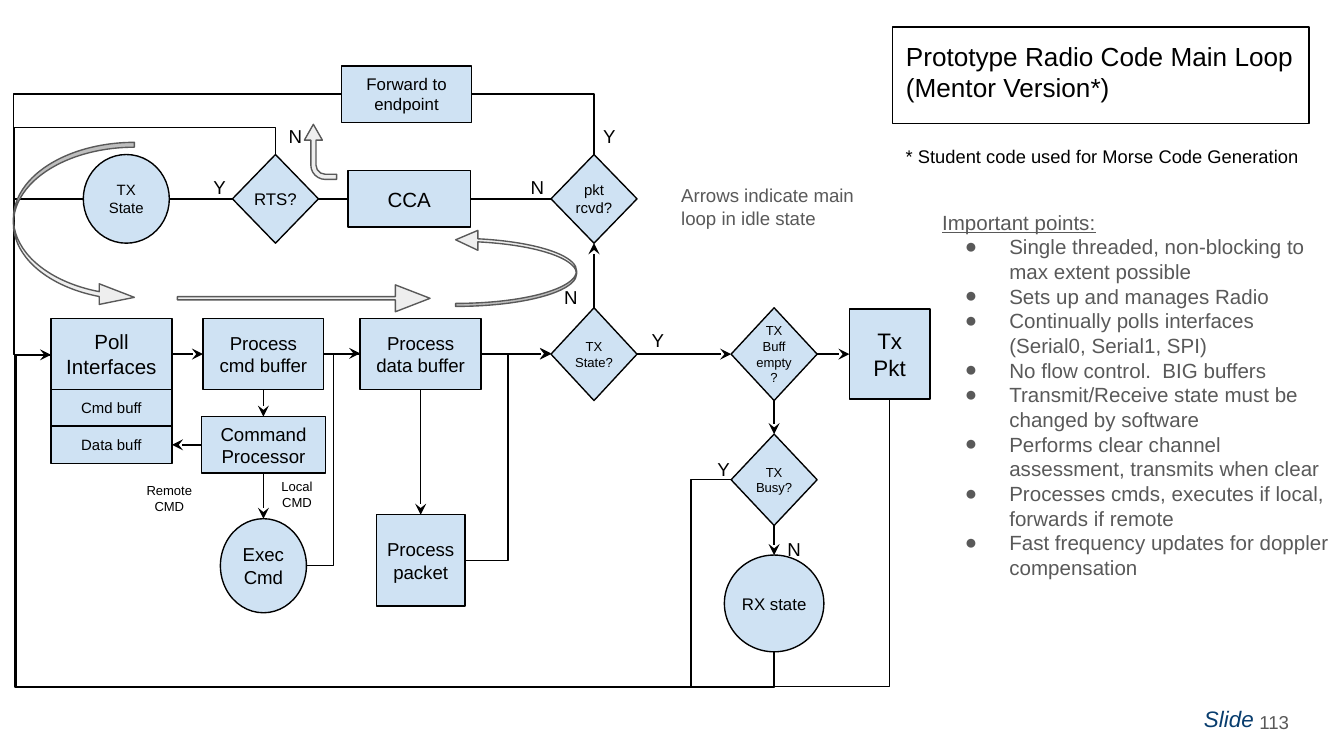
from lxml import etree
from pptx import Presentation
from pptx.dml.color import RGBColor
from pptx.enum.shapes import MSO_CONNECTOR, MSO_SHAPE
from pptx.enum.text import MSO_ANCHOR, MSO_AUTO_SIZE, PP_ALIGN
from pptx.oxml.ns import qn
from pptx.util import Inches, Pt

RECT, DIAMOND, OVAL = MSO_SHAPE.RECTANGLE, MSO_SHAPE.DIAMOND, MSO_SHAPE.OVAL
CURVED, RIGHT, BENT = MSO_SHAPE.CURVED_RIGHT_ARROW, MSO_SHAPE.RIGHT_ARROW, MSO_SHAPE.BENT_ARROW
STRAIGHT, ELBOW = MSO_CONNECTOR.STRAIGHT, MSO_CONNECTOR.ELBOW
ALIGN_LEFT, ALIGN_CENTER, ALIGN_RIGHT = PP_ALIGN.LEFT, PP_ALIGN.CENTER, PP_ALIGN.RIGHT
TOP, MIDDLE = MSO_ANCHOR.TOP, MSO_ANCHOR.MIDDLE
SITE_TOP, SITE_LEFT, SITE_BOTTOM, SITE_RIGHT = range(4)

COLORS = {name: RGBColor.from_string(value) for name, value in {
    "black": "000000", "white": "FFFFFF", "gray": "595959",
    "navy": "083D6E", "node": "CFE2F3", "arrow": "EEEEEE",
}.items()}


def write(shape, text, size, color="black", align=ALIGN_LEFT, anchor=TOP, margin=0.1):
    frame = shape.text_frame
    frame.text = text
    frame.word_wrap = True
    frame.auto_size = MSO_AUTO_SIZE.NONE
    frame.vertical_anchor = anchor
    frame.margin_left = frame.margin_right = Inches(margin)
    frame.margin_top = frame.margin_bottom = Inches(margin)
    for paragraph in frame.paragraphs:
        paragraph.alignment = align
        paragraph.space_before = Pt(0)
        paragraph.font.name = "Arial"
        paragraph.font.size = Pt(size)
        paragraph.font.color.rgb = COLORS[color]


def add_line(kind, begin, end, arrow):
    line = slide.shapes.add_connector(kind, *[Inches(value) for value in (*begin, *end)])
    line.line.color.rgb = COLORS["black"]
    line.line.width = Pt(0.75)
    properties = line._element.spPr
    if arrow:
        etree.SubElement(properties.find(qn("a:ln")), qn("a:tailEnd"), type="stealth")
    etree.SubElement(properties, qn("a:effectLst"))
    return line


presentation = Presentation()
presentation.slide_width = Inches(10)
presentation.slide_height = Inches(10) * 9 // 16
slide = presentation.slides.add_slide(presentation.slide_layouts[1])

# Title and list
title, body = slide.placeholders
title.left, title.top, title.width, title.height = map(Inches, (6.64, 0.2, 3.1, 0.72))
title.fill.solid()
title.fill.fore_color.rgb = COLORS["white"]
title.line.color.rgb = COLORS["black"]
title.line.width = Pt(0.75)
write(title, "Prototype Radio Code Main Loop\n(Mentor Version*)", 14)

points = [
    "Important points:",
    "Single threaded, non-blocking to max extent possible",
    "Sets up and manages Radio",
    "Continually polls interfaces (Serial0, Serial1, SPI)",
    "No flow control.  BIG buffers",
    "Transmit/Receive state must be changed by software",
    "Performs clear channel assessment, transmits when clear",
    "Processes cmds, executes if local, forwards if remote",
    "Fast frequency updates for doppler compensation",
]
body.left, body.top, body.width, body.height = map(Inches, (6.91, 1.46, 3.1, 2.98))
write(body, "\n".join(points), 11, "gray")
body.text_frame.paragraphs[0].font.underline = True
for index, paragraph in enumerate(body.text_frame.paragraphs):
    properties = paragraph._p.get_or_add_pPr()
    properties.set("marL", str(Inches(0.5 if index else 0)))
    properties.set("indent", str(Inches(-0.33 if index else 0)))
    defaults = properties.find(qn("a:defRPr"))
    if index:
        bullet_color = etree.Element(qn("a:buClr"))
        etree.SubElement(bullet_color, qn("a:srgbClr"), val=str(COLORS["gray"]))
        defaults.addprevious(bullet_color)
        defaults.addprevious(etree.Element(qn("a:buFont"), typeface="Arial"))
        defaults.addprevious(etree.Element(qn("a:buChar"), char="●"))
    else:
        defaults.addprevious(etree.Element(qn("a:buNone")))

# Flowchart nodes: key, shape, left, top, width, height, text, size, margin
nodes = {}
for key, kind, left, top, width, height, text, size, margin in [
    ("poll", RECT, 0.38, 2.37, 0.9, 0.53, "Poll Interfaces", 11, 0.1),
    ("cmd buff", RECT, 0.38, 2.9, 0.9, 0.27, "Cmd buff", 8, 0.1),
    ("data buff", RECT, 0.38, 3.17, 0.9, 0.28, "Data buff", 8, 0.1),
    ("cmd", RECT, 1.51, 2.37, 0.9, 0.53, "Process cmd buffer", 10, 0.1),
    ("data", RECT, 2.68, 2.37, 0.9, 0.53, "Process data buffer", 10, 0.1),
    ("processor", RECT, 1.5, 3.1, 0.92, 0.42, "Command Processor", 10, 0.1),
    ("exec", OVAL, 1.64, 3.86, 0.64, 0.7, "Exec Cmd", 10, 0),
    ("packet", RECT, 2.8, 3.83, 0.66, 0.68, "Process packet", 10, 0),
    ("tx state?", DIAMOND, 4.1, 2.29, 0.64, 0.69, "TX\nState?", 7, 0),
    ("empty?", DIAMOND, 5.44, 2.29, 0.64, 0.69, "TX\nBuff empty\n?", 7, 0),
    ("busy?", DIAMOND, 5.44, 3.23, 0.64, 0.68, "TX\nBusy?", 7, 0),
    ("tx pkt", RECT, 6.32, 2.3, 0.6, 0.67, "Tx Pkt", 12, 0.1),
    ("rx state", OVAL, 5.39, 4.13, 0.74, 0.72, "RX state", 9, 0),
    ("tx state", OVAL, 0.62, 1.15, 0.64, 0.66, "TX\nState", 8, 0),
    ("rts?", DIAMOND, 1.73, 1.15, 0.64, 0.66, "RTS?", 9, 0),
    ("cca", RECT, 2.59, 1.27, 0.91, 0.42, "CCA", 11, 0.1),
    ("rcvd?", DIAMOND, 4.1, 1.15, 0.64, 0.66, "pkt rcvd?", 8, 0),
    ("forward", RECT, 2.54, 0.49, 0.97, 0.42, "Forward to endpoint", 9, 0.1),
]:
    node = slide.shapes.add_shape(kind, *map(Inches, (left, top, width, height)))
    node.shadow.inherit = False
    node.fill.solid()
    node.fill.fore_color.rgb = COLORS["node"]
    node.line.color.rgb = COLORS["black"]
    node.line.width = Pt(0.75)
    write(node, text, size, align=ALIGN_CENTER, anchor=MIDDLE, margin=margin)
    nodes[key] = node

# Straight links between neighbouring nodes
for source, source_site, target, target_site, arrow in [
    ("poll", SITE_RIGHT, "cmd", SITE_LEFT, True),
    ("cmd", SITE_RIGHT, "data", SITE_LEFT, False),
    ("data", SITE_RIGHT, "tx state?", SITE_LEFT, True),
    ("tx state?", SITE_RIGHT, "empty?", SITE_LEFT, True),
    ("empty?", SITE_RIGHT, "tx pkt", SITE_LEFT, True),
    ("tx state?", SITE_TOP, "rcvd?", SITE_BOTTOM, True),
    ("cmd", SITE_BOTTOM, "processor", SITE_TOP, True),
    ("processor", SITE_BOTTOM, "exec", SITE_TOP, True),
    ("processor", SITE_LEFT, "data buff", SITE_RIGHT, True),
    ("data", SITE_BOTTOM, "packet", SITE_TOP, True),
    ("empty?", SITE_BOTTOM, "busy?", SITE_TOP, True),
    ("busy?", SITE_BOTTOM, "rx state", SITE_TOP, True),
    ("rcvd?", SITE_LEFT, "cca", SITE_RIGHT, False),
    ("cca", SITE_LEFT, "rts?", SITE_RIGHT, False),
]:
    link = add_line(STRAIGHT, (0, 0), (1, 1), arrow)
    link.begin_connect(nodes[source], source_site)
    link.end_connect(nodes[target], target_site)
link = add_line(STRAIGHT, (1.73, 1.48), (1.26, 1.48), False)
link.begin_connect(nodes["rts?"], SITE_LEFT)

# Elbow routes: start, end, lane coordinates in travel order, leaves vertically, arrow
poll_entry, rx_exit = (0.38, 2.64), (5.76, 4.85)
for start, end, lanes, vertical, arrow in [
    (rx_exit, poll_entry, (5.11, 0.12), True, True),
    (rx_exit, poll_entry, (5.11, 0.11), True, False),
    ((2.54, 0.7), poll_entry, (0.1,), False, False),
    ((2.05, 1.15), poll_entry, (0.95, 0.11), True, False),
    ((0.62, 1.48), poll_entry, (0.11,), False, False),
    ((4.42, 1.15), (3.51, 0.7), (), True, False),
    ((3.46, 4.17), (4.1, 2.63), (3.78,), False, True),
    ((2.28, 4.21), (2.68, 2.63), (2.48,), False, True),
    ((6.62, 2.97), rx_exit, (5.11,), True, False),
    ((5.44, 3.57), rx_exit, (5.14, 5.11), False, False),
]:
    run, rise = end[0] - start[0], end[1] - start[1]
    begin, finish = start, end
    if vertical:  # the frame is laid out sideways, then turned by 90 degrees
        center_x, center_y = start[0] + run / 2, start[1] + rise / 2
        begin = (center_x - rise / 2, center_y + run / 2)
        finish = (center_x + rise / 2, center_y - run / 2)
    route = add_line(ELBOW, begin, finish, arrow)
    if vertical:
        route._element.spPr.find(qn("a:xfrm")).set("rot", "5400000")
    geometry = route._element.spPr.find(qn("a:prstGeom"))
    geometry.set("prst", f"bentConnector{len(lanes) + 2}")
    for index, lane in enumerate(lanes):
        axis = (index + vertical) % 2
        ratio = (lane - start[axis]) / (end[axis] - start[axis])
        etree.SubElement(geometry.find(qn("a:avLst")), qn("a:gd"),
                         name=f"adj{index + 1}", fmla=f"val {round(ratio * 100000)}")

# Block arrows of the idle loop
for kind, left, top, width, height, rotation, adjustments in [
    (CURVED, 3.39, 1.71, 0.9, 0.57, 180, (0.04, 0.26, 0.29)),
    (CURVED, 0.1, 1.06, 0.9, 1.23, 0, (0.04, 0.17, 0.29)),
    (RIGHT, 1.32, 2.12, 1.88, 0.2, 0, (0.12, 1.29)),
    (BENT, 2.18, 1.01, 0.41, 0.24, 270, (0.16, 0.28, 0.49, 0.45)),
]:
    block_arrow = slide.shapes.add_shape(kind, *map(Inches, (left, top, width, height)))
    block_arrow.rotation = rotation
    block_arrow.shadow.inherit = False
    block_arrow.fill.solid()
    block_arrow.fill.fore_color.rgb = COLORS["arrow"]
    block_arrow.line.color.rgb = COLORS["gray"]
    block_arrow.line.width = Pt(0.75)
    for index, value in enumerate(adjustments):
        block_arrow.adjustments[index] = value

# Branch labels
for text, left, top in [
    ("N", 5.76, 3.9), ("Y", 1.49, 1.21), ("N", 2.05, 0.83), ("Y", 4.39, 0.83), ("N", 3.85, 1.21),
    ("N", 4.1, 2.03), ("Y", 4.75, 2.35), ("Y", 5.24, 3.31),
]:
    label = slide.shapes.add_textbox(*map(Inches, (left, top, 0.24, 0.37)))
    write(label, text, 10)

# Notes and footer
for text, left, top, width, height, size, color, align, anchor in [
    ("Remote\nCMD", 0.96, 3.49, 0.6, 0.44, 7, "black", ALIGN_CENTER, TOP),
    ("Local\nCMD", 1.86, 3.46, 0.7, 0.44, 7, "black", ALIGN_CENTER, TOP),
    ("Arrows indicate main loop in idle state", 4.97, 1.27, 1.72, 0.54, 10, "gray", ALIGN_LEFT, TOP),
    ("* Student code used for Morse Code Generation", 6.64, 0.98, 3.19, 0.48, 9.8, "black", ALIGN_LEFT, TOP),
    ("113", 9.02, 5.16, 0.67, 0.43, 10, "gray", ALIGN_RIGHT, MIDDLE),
    ("Slide", 8.86, 5.15, 1.01, 0.24, 12, "navy", ALIGN_LEFT, TOP),
]:
    note = slide.shapes.add_textbox(*map(Inches, (left, top, width, height)))
    write(note, text, size, color, align, anchor)
    note.text_frame.paragraphs[0].font.italic = True if text == "Slide" else None

presentation.save("out.pptx")
